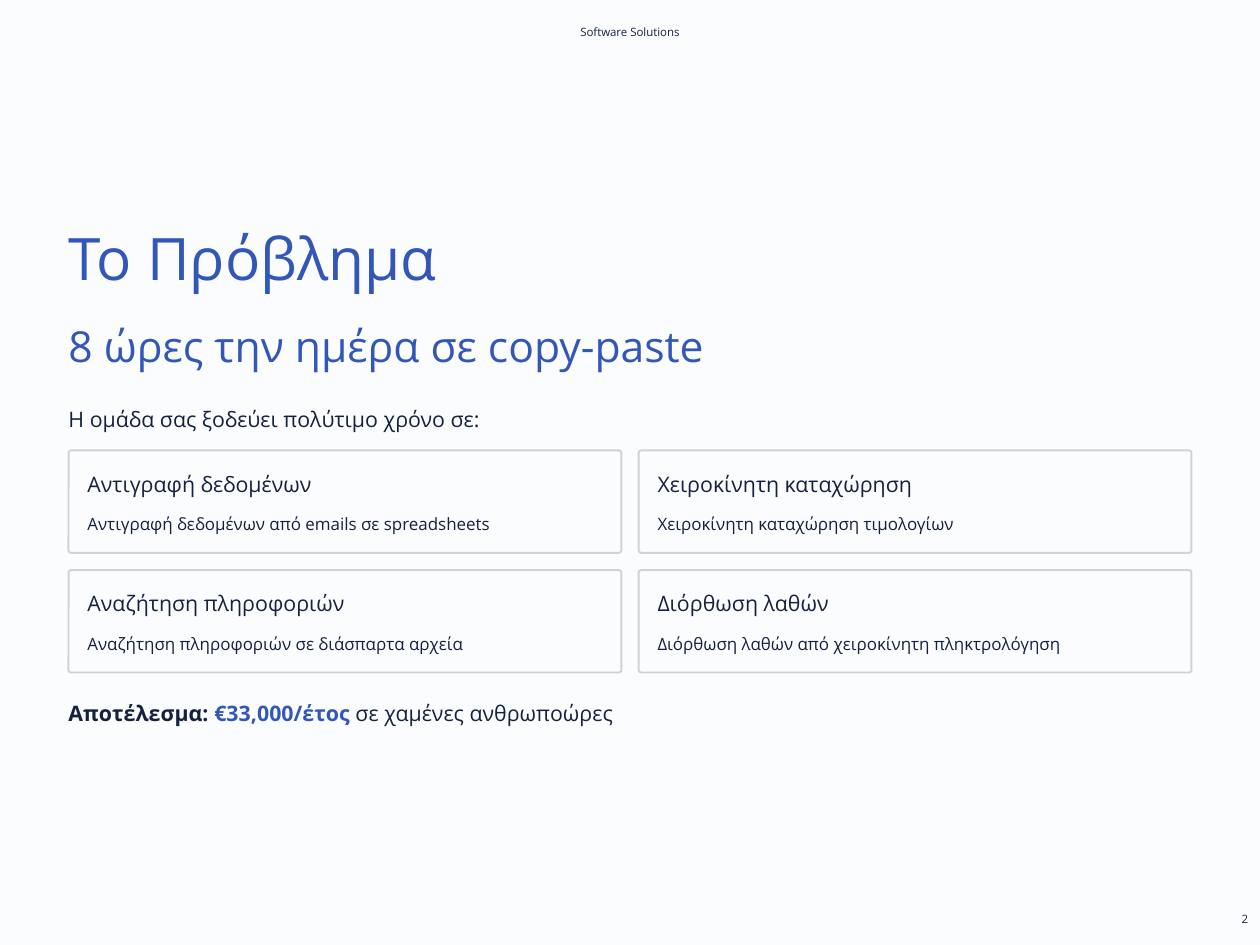
from pptx import Presentation
from pptx import util as u
from pptx.dml.color import RGBColor
from pptx.enum import shapes, text

WIDTH, HEIGHT = 16, 12
MARGIN = 0.87
CONTENT = WIDTH - 2 * MARGIN
GAP = 0.22
PADDING = 0.24
FONT = "Open Sans"
PAPER, INK, BLUE, BORDER = "FBFCFE", "15213F", "3257B8", "CFD2D8"
CARDS = [
    ("Αντιγραφή δεδομένων", "Αντιγραφή δεδομένων από emails σε spreadsheets"),
    ("Χειροκίνητη καταχώρηση", "Χειροκίνητη καταχώρηση τιμολογίων"),
    ("Αναζήτηση πληροφοριών", "Αναζήτηση πληροφοριών σε διάσπαρτα αρχεία"),
    ("Διόρθωση λαθών", "Διόρθωση λαθών από χειροκίνητη πληκτρολόγηση"),
]


def color(value):
    """Turn a hex string into a colour."""
    return RGBColor.from_string(value)


def place(box, left, top, width, height):
    """Move and size a box in inches."""
    box.left, box.top = u.Inches(left), u.Inches(top)
    box.width, box.height = u.Inches(width), u.Inches(height)


def write(box, spans, size, leading, align=text.PP_ALIGN.LEFT):
    """Write one paragraph of (wording, colour, bold) spans into a box."""
    frame = box.text_frame
    frame.margin_left = frame.margin_right = frame.margin_top = frame.margin_bottom = 0
    frame.word_wrap = True
    frame.auto_size = text.MSO_AUTO_SIZE.NONE
    frame.vertical_anchor = text.MSO_ANCHOR.TOP
    para = frame.paragraphs[0]
    para.alignment = align
    para.line_spacing = u.Pt(leading)
    para.space_before = u.Pt(0)
    for wording, tint, bold in spans:
        span = para.add_run()
        span.text = wording
        span.font.name = FONT
        span.font.size = u.Pt(size)
        span.font.bold = bold
        span.font.color.rgb = color(tint)


def add_line(page, area, spans, size, leading, align=text.PP_ALIGN.LEFT):
    """Add a text box holding one line."""
    box = page.shapes.add_textbox(*map(u.Inches, area))
    write(box, spans, size, leading, align)


def add_heading(page, left, top, width):
    """Place the title, the subtitle and the lead-in line."""
    title = page.shapes.title
    place(title, left, top, width, 0.94)
    write(title, [("Το Πρόβλημα", BLUE, False)], 53.5, 67)
    add_line(page, (left, top + 1.26, width, 0.68),
             [("8 ώρες την ημέρα σε copy-paste", BLUE, False)], 39, 48.5)
    add_line(page, (left, top + 2.27, width, 0.43),
             [("Η ομάδα σας ξοδεύει πολύτιμο χρόνο σε:", INK, False)], 19.5, 31)


def add_card(page, left, top, width, height, heading, detail):
    """Draw an outlined card with a heading and a detail line."""
    card = page.shapes.add_shape(shapes.MSO_SHAPE.ROUNDED_RECTANGLE,
                                 *map(u.Inches, (left, top, width, height)))
    card.adjustments[0] = 0.025
    card.shadow.inherit = False
    card.fill.solid()
    card.fill.fore_color.rgb = color(PAPER)
    card.line.color.rgb = color(BORDER)
    card.line.width = u.Pt(1.8)
    inner = width - 2 * PADDING
    add_line(page, (left + PADDING, top + 0.25, inner, 0.34), [(heading, INK, False)], 19.5, 24)
    add_line(page, (left + PADDING, top + 0.71, inner, 0.35), [(detail, INK, False)], 15.5, 25)


def add_cards(page, left, top, width, height, columns=2, rows=2):
    """Lay the cards out in a grid."""
    card_width = (width - (columns - 1) * GAP) / columns
    card_height = (height - (rows - 1) * GAP) / rows
    for index, (heading, detail) in enumerate(CARDS):
        row, column = divmod(index, columns)
        add_card(page, left + column * (card_width + GAP), top + row * (card_height + GAP),
                 card_width, card_height, heading, detail)


def add_result(page, left, top, width):
    """Place the closing line with its highlighted cost."""
    add_line(page, (left, top, width, 0.43),
             [("Αποτέλεσμα: ", INK, True), ("€33,000/έτος", BLUE, True),
              (" σε χαμένες ανθρωποώρες", INK, False)], 19.5, 31)


def add_margins(page):
    """Place the running header and the page number."""
    add_line(page, (WIDTH / 2 - 1, 0.25, 2, 0.24), [("Software Solutions", INK, False)],
             10.5, 17.5, text.PP_ALIGN.CENTER)
    add_line(page, (WIDTH - 0.42, HEIGHT - 0.49, 0.27, 0.24), [("2", INK, False)],
             10.5, 17.5, text.PP_ALIGN.RIGHT)


def main():
    """Build the problem slide and save the deck."""
    deck = Presentation()
    deck.slide_width, deck.slide_height = u.Inches(WIDTH), u.Inches(HEIGHT)
    page = deck.slides.add_slide(deck.slide_layouts[5])
    page.background.fill.solid()
    page.background.fill.fore_color.rgb = color(PAPER)
    add_heading(page, MARGIN, 2.78, CONTENT)
    add_cards(page, MARGIN, 5.72, CONTENT, 2.82)
    add_result(page, MARGIN, 8.79, CONTENT)
    add_margins(page)
    deck.save("out.pptx")


if __name__ == "__main__":
    main()
